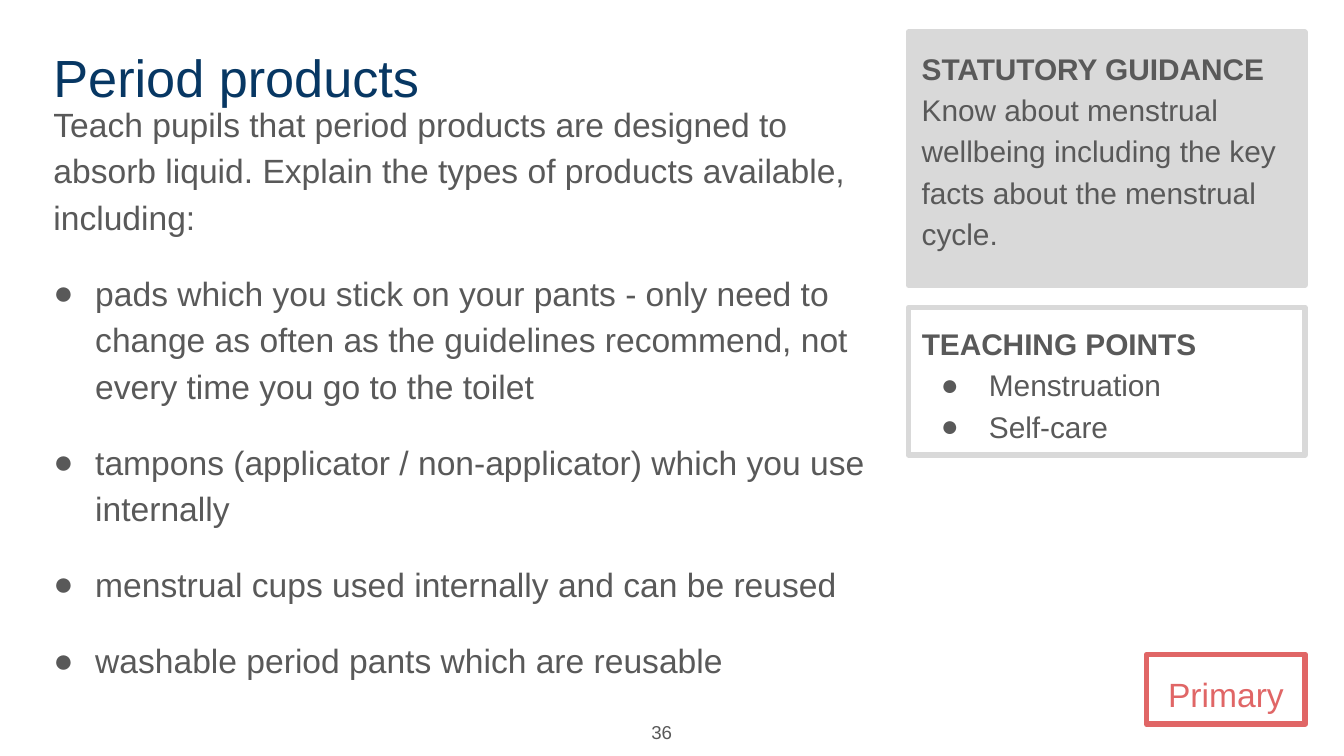
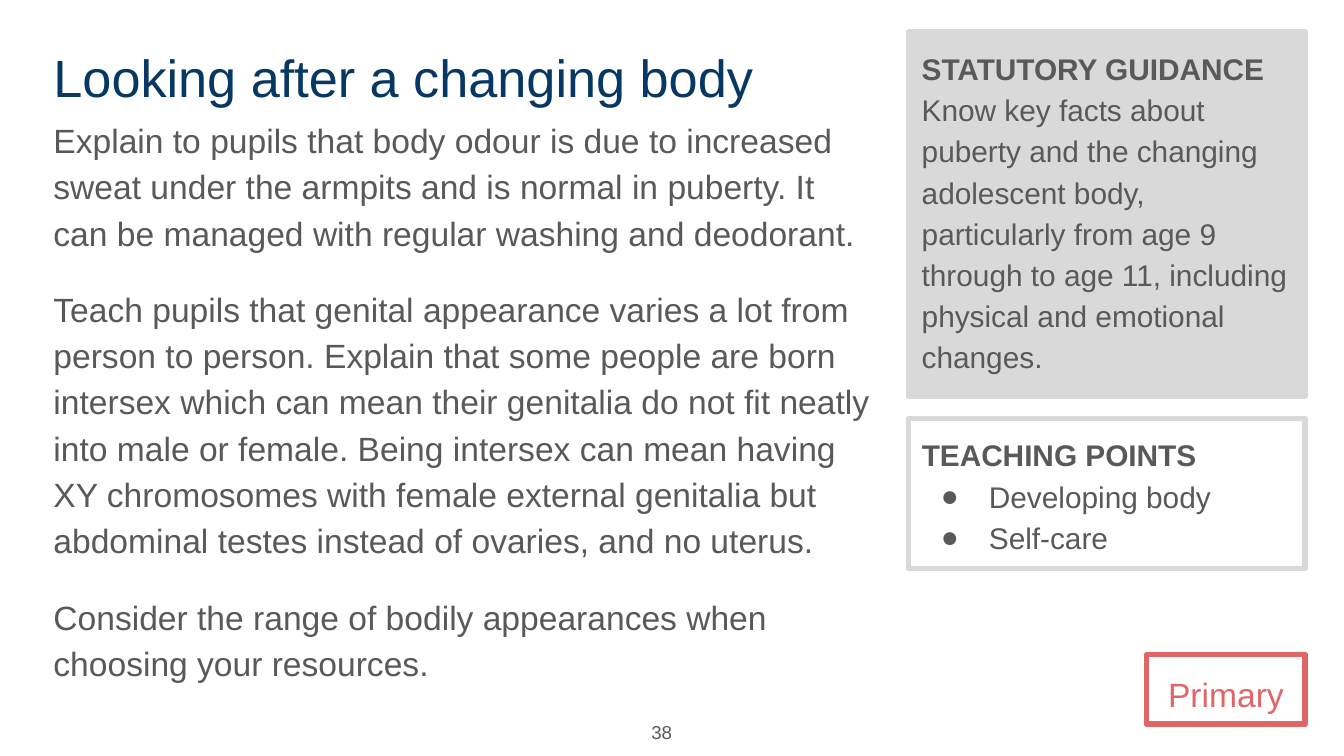
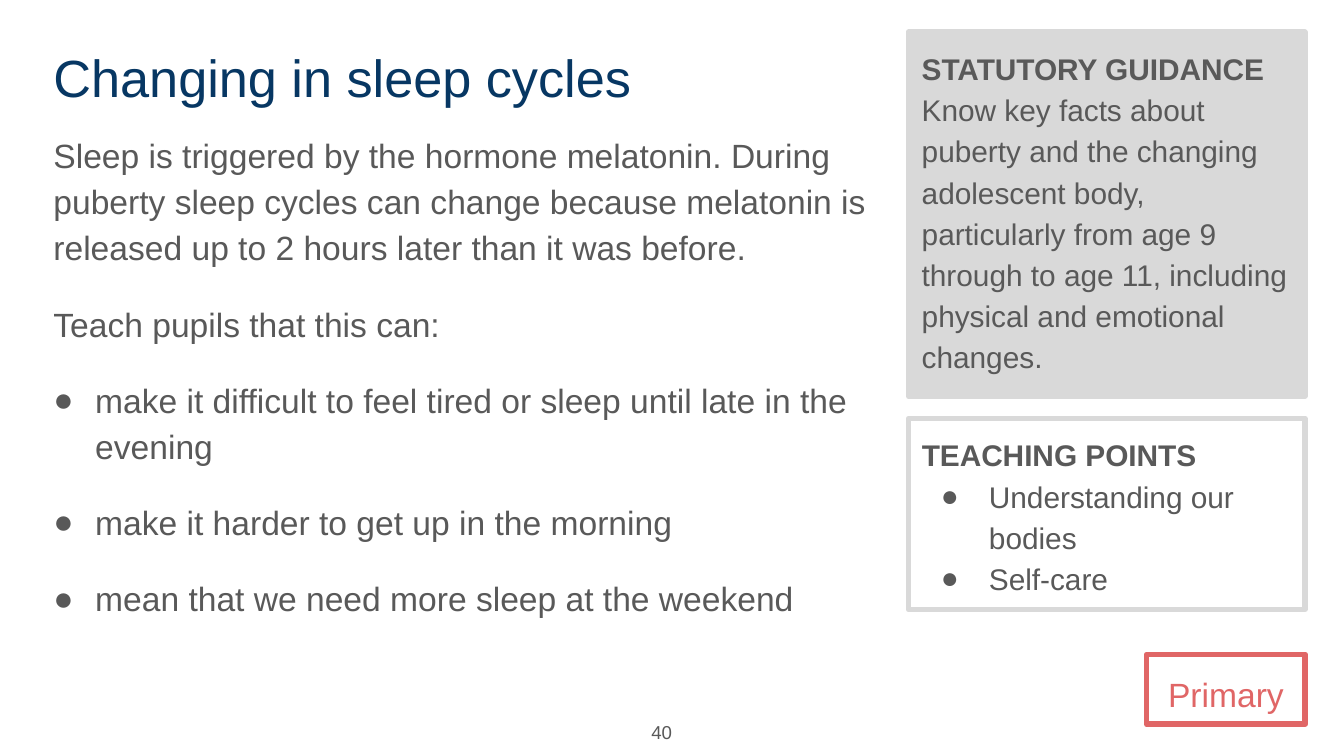
from copy import deepcopy
from lxml.etree import SubElement as Sub
from pptx import Presentation
from pptx.dml.color import RGBColor
from pptx.enum.shapes import MSO_SHAPE as Shape
from pptx.enum.text import MSO_ANCHOR as Anchor, MSO_AUTO_SIZE as Fit, PP_ALIGN as Align
from pptx.oxml.ns import qn
from pptx.util import Cm, Pt

NAVY = RGBColor(0x07, 0x37, 0x63)
GREY = RGBColor(0x59, 0x59, 0x59)
PALE = RGBColor(0xD9, 0xD9, 0xD9)
CORAL = RGBColor(0xE0, 0x66, 0x66)
FONT = "Arial"

LEFT, TOP = 0.76, 0.61
SIDE, WIDE = 17.17, 7.49
GAP = 0.42
SMALL = (0.79, 0.79)
LARGE = (1.27, 0.91)

PUBERTY = (
    "Know key facts about puberty and the changing adolescent body, particularly "
    "from age 9 through to age 11, including physical and emotional changes."
)

PAGES = [
    dict(
        title="Period products", page="36", top=1.6, high=6.76,
        intro=["Teach pupils that period products are designed to absorb liquid. "
               "Explain the types of products available, including:"],
        items=["pads which you stick on your pants - only need to change as often "
               "as the guidelines recommend, not every time you go to the toilet",
               "tampons (applicator / non-applicator) which you use internally",
               "menstrual cups used internally and can be reused",
               "washable period pants which are reusable"],
        rule="Know about menstrual wellbeing including the key facts about the "
             "menstrual cycle.",
        tall=4.78, points=["Menstruation", "Self-care"], deep=2.79,
    ),
    dict(
        title="Looking after a changing body", page="38", top=1.9, high=10.46,
        intro=["Explain to pupils that body odour is due to increased sweat under "
               "the armpits and is normal in puberty. It can be managed with "
               "regular washing and deodorant.",
               "Teach pupils that genital appearance varies a lot from person to "
               "person. Explain that some people are born intersex which can mean "
               "their genitalia do not fit neatly into male or female. Being "
               "intersex can mean having XY chromosomes with female external "
               "genitalia but abdominal testes instead of ovaries, and no uterus.",
               "Consider the range of bodily appearances when choosing your "
               "resources."],
        items=[], rule=PUBERTY, tall=6.88,
        points=["Developing body", "Self-care"], deep=2.84,
    ),
    dict(
        title="Changing in sleep cycles", page="40", top=2.18, high=9.12,
        intro=["Sleep is triggered by the hormone melatonin. During puberty sleep "
               "cycles can change because melatonin is released up to 2 hours "
               "later than it was before.",
               "Teach pupils that this can:"],
        items=["make it difficult to feel tired or sleep until late in the evening",
               "make it harder to get up in the morning",
               "mean that we need more sleep at the weekend"],
        rule=PUBERTY, tall=6.88,
        points=["Understanding our bodies", "Self-care"], deep=3.61,
    ),
]


def write(frame, text, head="", size=18, color=GREY, bold=False,
          align=Align.LEFT, space=1.15, gap=0, dent=None):
    """Add one formatted paragraph, with an optional bold first line."""
    first = not frame.text
    par = frame.paragraphs[0] if first else frame.add_paragraph()
    props = par._p.get_or_add_pPr()
    left, hang = dent or (0, 0)
    props.set("marL", str(int(Cm(left))))
    props.set("indent", str(-int(Cm(hang))))
    if dent:
        tint = Sub(props, qn("a:buClr"))
        Sub(tint, qn("a:srgbClr")).set("val", str(color))
        Sub(props, qn("a:buChar")).set("char", "●")
    else:
        Sub(props, qn("a:buNone"))
    par.alignment, par.line_spacing = align, space
    par.space_before = Pt(0 if first else gap)

    def add(words, heavy):
        run = par.add_run()
        run.text = words
        font = run.font
        font.name, font.size, font.bold = FONT, Pt(size), heavy
        font.color.rgb = color
        return run

    if head:
        mark = add(head, True)
        par._p.add_br().append(deepcopy(mark._r.rPr))
    add(text, bold)


class Deck:
    """Hold the shared style and the current slide."""

    def __init__(self):
        self.show = Presentation()
        self.show.slide_width, self.show.slide_height = Cm(25.4), Cm(14.29)

    def start(self):
        self.slide = self.show.slides.add_slide(self.show.slide_layouts[3])
        self.holds = self.slide.placeholders

    def place(self, shape, box, anchor=Anchor.TOP):
        shape.left, shape.top, shape.width, shape.height = map(Cm, box)
        frame = shape.text_frame
        frame.word_wrap, frame.auto_size = True, Fit.NONE
        frame.vertical_anchor = anchor
        frame.margin_left = frame.margin_right = Cm(0.25)
        frame.margin_top = frame.margin_bottom = Cm(0.25)
        return frame

    def edge(self, shape, color, fill=None):
        shape.line.color.rgb, shape.line.width = color, Pt(3)
        if fill is None:
            shape.fill.background()
        else:
            shape.fill.solid()
            shape.fill.fore_color.rgb = fill

    def panel(self, box, color, fill=None):
        shape = self.slide.shapes.add_shape(Shape.RECTANGLE, *map(Cm, box))
        shape.shadow.inherit = False
        self.edge(shape, color, fill)
        return self.place(shape, box)

    def title(self, text):
        frame = self.place(self.holds[0], (LEFT, TOP, 16.28, 1.6))
        write(frame, text, size=28, color=NAVY, space=1.0)

    def body(self, intro, items, top, high):
        frame = self.place(self.holds[1], (LEFT, top, 16.05, high))
        for text in intro:
            write(frame, text, gap=16)
        for text in items:
            write(frame, text, gap=16, dent=SMALL)

    def guide(self, text, high):
        frame = self.panel((SIDE, TOP, WIDE, high), PALE, PALE)
        write(frame, text, head="STATUTORY GUIDANCE", size=16)

    def points(self, items, top, high):
        shape = self.holds[2]
        frame = self.place(shape, (SIDE, top, WIDE, high))
        self.edge(shape, PALE)
        write(frame, "TEACHING POINTS", size=16, bold=True)
        for text in items:
            write(frame, text, size=16, dent=LARGE)

    def badge(self, text):
        frame = self.panel((21.67, 12.37, 3.0, 1.32), CORAL)
        write(frame, text, color=CORAL, align=Align.CENTER)

    def number(self, text):
        box = (11.96, 13.36, 0.99, 0.94)
        shape = self.slide.shapes.add_textbox(*map(Cm, box))
        frame = self.place(shape, box, Anchor.MIDDLE)
        write(frame, text, size=10, align=Align.RIGHT, space=1.0)


def main():
    deck = Deck()
    for page in PAGES:
        deck.start()
        deck.title(page["title"])
        deck.body(page["intro"], page["items"], page["top"], page["high"])
        deck.guide(page["rule"], page["tall"])
        deck.number(page["page"])
        deck.badge("Primary")
        deck.points(page["points"], TOP + page["tall"] + GAP, page["deep"])
    deck.show.save("out.pptx")


if __name__ == "__main__":
    main()
